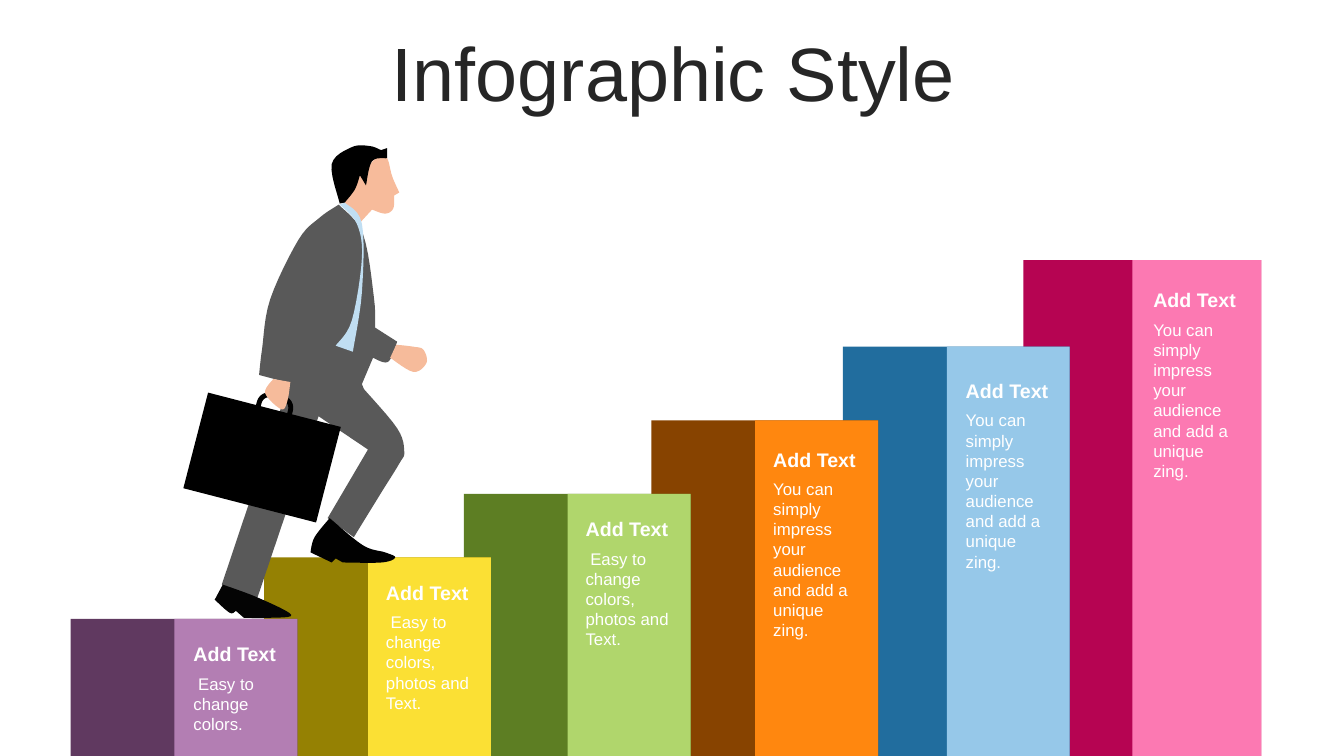
from pptx import Presentation
from pptx.dml.color import RGBColor
from pptx.enum.shapes import MSO_SHAPE
from pptx.enum.text import MSO_ANCHOR, MSO_AUTO_SIZE, PP_ALIGN
from pptx.util import Inches, Pt

WIDTH, HEIGHT = 13.33, 7.5
FRONT_SHARE = 0.542
CURVE_STEPS = 6

LONG = "You can simply impress your audience and add a unique zing."
MEDIUM = " Easy to change colors, photos and Text."
SHORT = " Easy to change colors."
BODY_HEIGHT = {LONG: 1.51, MEDIUM: 1.11, SHORT: 0.71}

# left, top, width, dark, light, caption left, caption top, text
STAIRS = [
    (10.15, 2.58, 2.36, "B60452", "FC79B2", 11.34, 2.81, LONG),
    (8.36, 3.44, 2.25, "216D9E", "96C8E9", 9.48, 3.71, LONG),
    (6.46, 4.17, 2.25, "874300", "FF870F", 7.57, 4.39, LONG),
    (4.6, 4.9, 2.25, "5D7E23", "B0D66C", 5.71, 5.08, MEDIUM),
    (2.62, 5.53, 2.25, "958103", "FBE034", 3.73, 5.71, MEDIUM),
    (0.7, 6.14, 2.25, "603960", "B37EB3", 1.82, 6.32, SHORT),
]

# Each outline is a list of smooth strokes that meet at corners.
SUIT = [
    [(3.36, 2.03), (3.17, 2.16), (2.96, 2.38), (2.68, 2.97), (2.6, 3.46), (2.57, 3.72)],
    [(2.87, 3.8)], [(2.2, 5.8)], [(2.55, 5.94)], [(3.16, 4.13)], [(3.65, 4.46)], [(3.25, 5.14)],
    [(3.51, 5.33), (3.78, 4.89), (3.96, 4.6), (4.01, 4.48), (3.94, 4.25), (3.61, 3.86)],
    [(3.59, 3.81)], [(3.7, 3.55), (3.85, 3.59), (3.94, 3.39)],
    [(3.72, 3.25), (3.71, 2.96), (3.6, 2.32), (3.36, 2.03)],
]
FACE = [
    [(3.76, 1.53), (3.84, 1.57), (3.89, 1.75), (3.96, 1.91)],
    [(3.91, 1.94), (3.9, 2.07), (3.82, 2.12), (3.69, 2.08)],
    [(3.58, 2.2), (3.42, 2.02), (3.52, 1.81), (3.76, 1.53)],
]
FRONT_HAND = [[(3.93, 3.42), (4.1, 3.44), (4.2, 3.47), (4.23, 3.6), (4.1, 3.69), (3.87, 3.55)]]
BACK_HAND = [[(2.71, 3.76)], [(2.88, 3.79), (2.85, 3.98), (2.79, 4.06), (2.63, 3.9), (2.71, 3.76)]]
BACK_SHOE = [
    [(2.21, 5.8), (2.56, 5.93), (2.89, 6.1), (2.66, 6.13), (2.42, 6.13)],
    [(2.34, 6.06), (2.28, 6.08), (2.13, 5.95)],
]
FRONT_SHOE = [
    [(3.27, 5.14), (3.6, 5.41), (3.82, 5.48), (3.92, 5.53), (3.79, 5.58), (3.4, 5.58)],
    [(3.33, 5.54)], [(3.29, 5.58)], [(3.08, 5.48), (3.12, 5.33), (3.27, 5.14)],
]
SHIRT = [
    [(3.42, 2.01), (3.59, 2.22), (3.59, 2.9), (3.5, 3.49)],
    [(3.33, 3.43), (3.49, 3.18), (3.59, 2.56), (3.54, 2.22), (3.37, 2.03)],
]
HAIR = [
    [(3.37, 2.02), (3.29, 1.63), (3.49, 1.46), (3.67, 1.45), (3.78, 1.49)],
    [(3.84, 1.47)], [(3.84, 1.57), (3.69, 1.6), (3.63, 1.84)],
    [(3.57, 1.74), (3.52, 1.88), (3.42, 2.01)],
]
BODY = [("595959", SUIT), ("F7BB9B", FACE), ("F6BB9B", FRONT_HAND), ("040404", BACK_SHOE),
        ("010101", FRONT_SHOE), ("C0DEF2", SHIRT), ("000000", HAIR)]


def rgb(color):
    return RGBColor.from_string(color)


def smooth(stroke):
    """Return points on a Catmull-Rom curve through the stroke's points."""
    ends = [stroke[0], *stroke, stroke[-1]]
    points = [stroke[0]]
    for a, b, c, d in zip(ends, ends[1:], ends[2:], ends[3:]):
        for i in range(1, CURVE_STEPS + 1):
            t = i / CURVE_STEPS
            points.append(tuple(
                q + t * (r - p + t * (2 * p - 5 * q + 4 * r - s + t * (3 * (q - r) + s - p))) / 2
                for p, q, r, s in zip(a, b, c, d)))
    return points


class Deck:
    font = "Arial"

    def __init__(self, s):
        self.s = s

    def paint(self, sp, color):
        sp.shadow.inherit = False
        sp.fill.solid()
        sp.fill.fore_color.rgb = rgb(color)
        sp.line.fill.background()

    def block(self, left, top, width, color):
        """Add a rectangle that reaches down to the slide's bottom edge."""
        sp = self.s.shapes.add_shape(MSO_SHAPE.RECTANGLE, Inches(left), Inches(top),
                                     Inches(width), Inches(HEIGHT - top))
        self.paint(sp, color)

    def text(self, shapes, box, text, size, color="FFFFFF", bold=False):
        sp = shapes.add_textbox(*(Inches(v) for v in box))
        tf = sp.text_frame
        tf.word_wrap = True
        tf.auto_size = MSO_AUTO_SIZE.SHAPE_TO_FIT_TEXT
        r = tf.paragraphs[0].add_run()
        r.text = text
        r.font.name, r.font.size, r.font.bold = self.font, Pt(size), bold
        r.font.color.rgb = rgb(color)
        return tf

    def title(self, text):
        tf = self.text(self.s.shapes, (0.35, 0.37, 12.66, 0.79), text, 54, "262626")
        tf.auto_size = MSO_AUTO_SIZE.NONE
        tf.vertical_anchor = MSO_ANCHOR.MIDDLE
        p = tf.paragraphs[0]
        p.alignment, p.line_spacing = PP_ALIGN.CENTER, 0.9

    def caption(self, left, top, text):
        shapes = self.s.shapes.add_group_shape().shapes
        self.text(shapes, (left, top, 1.08, 0.34), "Add Text", 14, bold=True)
        self.text(shapes, (left, top + 0.31, 1.08, BODY_HEIGHT[text]), text, 12)

    def outline(self, shapes, color, strokes):
        points = [(Inches(x), Inches(y)) for stroke in strokes for x, y in smooth(stroke)]
        builder = shapes.build_freeform(*points[0])
        builder.add_line_segments(points[1:])
        self.paint(builder.convert_to_shape(), color)

    def briefcase(self, shapes):
        case = shapes.add_shape(MSO_SHAPE.RECTANGLE, Inches(1.92), Inches(4.05),
                                Inches(1.36), Inches(0.98))
        handle = shapes.add_shape(MSO_SHAPE.ROUNDED_RECTANGLE, Inches(2.56), Inches(3.93),
                                  Inches(0.32), Inches(0.25))
        for sp in (case, handle):
            self.paint(sp, "000000")
            sp.rotation = 14.5
        handle.adjustments[0] = 0.4
        handle.fill.background()
        handle.line.color.rgb = rgb("000000")
        handle.line.width = Pt(3.5)

    def climber(self):
        shapes = self.s.shapes.add_group_shape().shapes
        for color, strokes in BODY:
            self.outline(shapes, color, strokes)
        self.briefcase(shapes)
        self.outline(shapes, "F6BB9B", BACK_HAND)


def main():
    prs = Presentation()
    prs.slide_width, prs.slide_height = Inches(WIDTH), Inches(HEIGHT)
    deck = Deck(prs.slides.add_slide(prs.slide_layouts[6]))
    deck.title("Infographic Style")
    for left, top, width, dark, light, *caption in STAIRS:
        front = width * FRONT_SHARE
        deck.block(left, top, width, dark)
        deck.block(left + width - front, top, front, light)
        deck.caption(*caption)
    deck.climber()
    prs.save("out.pptx")


if __name__ == "__main__":
    main()
